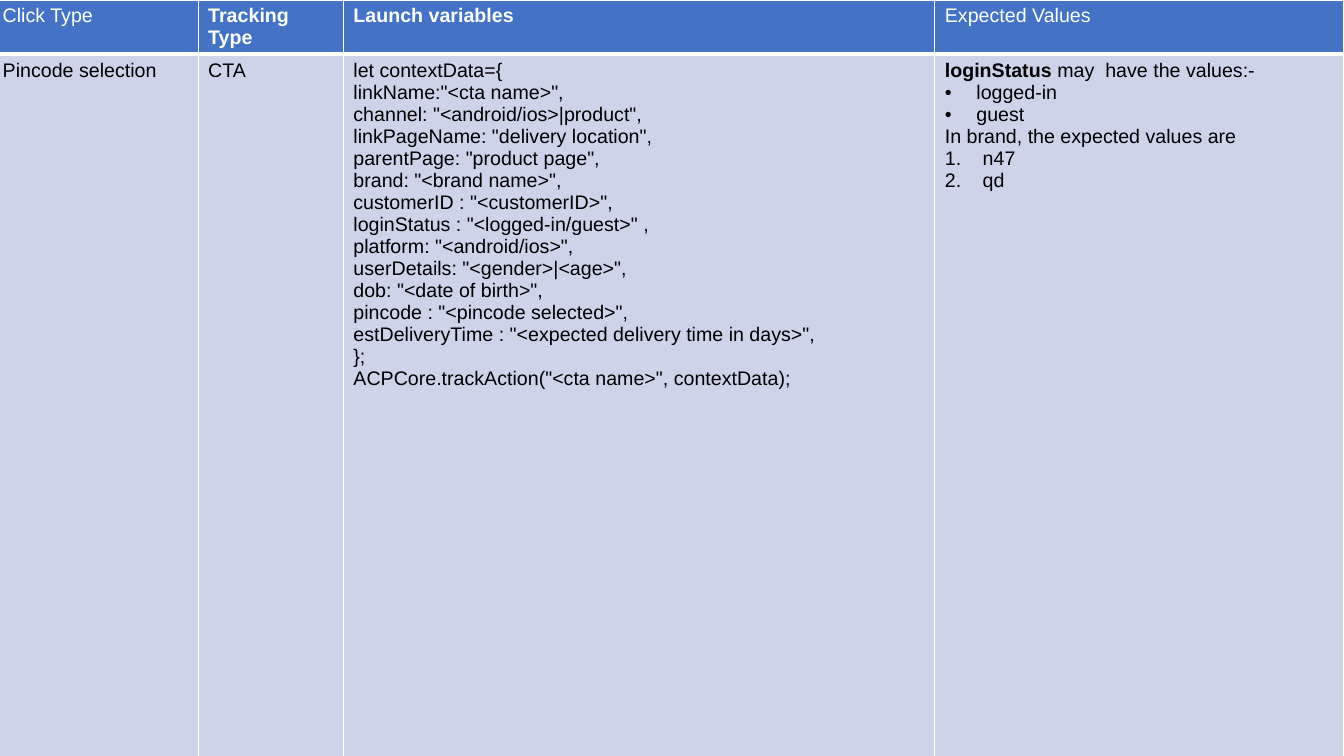
from dataclasses import dataclass

from lxml.etree import SubElement
from pptx import Presentation
from pptx.dml.color import RGBColor
from pptx.oxml.ns import qn
from pptx.util import Pt

HUES = {"head": "4472C4", "body": "CDD4EA", "light": "FFFFFF", "dark": "000000"}
WIDTHS = (146.75, 103.75, 422.5, 292.25)
HEIGHTS = (38.5, 501.5)


@dataclass
class Line:
    text: str
    lead: str = ""  # bold words ahead of the text
    mark: str = ""  # "dot" or "num"


@dataclass
class Head:
    text: str
    bold: bool


HEADS = [
    Head("Click Type", False),
    Head("Tracking Type", True),
    Head("Launch variables", True),
    Head("Expected Values", False),
]

CODE = [
    'let contextData={',
    'linkName:"<cta name>",',
    'channel: "<android/ios>|product",',
    'linkPageName: "delivery location",',
    'parentPage: "product page",',
    'brand: "<brand name>",',
    'customerID : "<customerID>",\nloginStatus : "<logged-in/guest>" ,\n'
    'platform: "<android/ios>",\nuserDetails: "<gender>|<age>",\n'
    'dob: "<date of birth>",',
    'pincode : "<pincode selected>",',
    'estDeliveryTime : "<expected delivery time in days>",',
    '};',
    'ACPCore.trackAction("<cta name>", contextData);',
]

BODY = [
    [Line("Pincode selection")],
    [Line("CTA")],
    [Line(row) for row in CODE],
    [
        Line("may  have the values:-", lead="loginStatus "),
        Line("logged-in", mark="dot"),
        Line("guest", mark="dot"),
        Line("In brand, the expected values are"),
        Line("n47", mark="num"),
        Line("qd", mark="num"),
    ],
]


def add_mark(para, mark: str) -> None:
    """Give a paragraph a hanging bullet or number."""
    props = para._p.get_or_add_pPr()
    indent = Pt(22.5 if mark == "dot" else 27)
    props.set("marL", str(indent))
    props.set("indent", str(-indent))
    SubElement(props, qn("a:buFont"), typeface="Arial")
    if mark == "dot":
        SubElement(props, qn("a:buChar"), char="•")
    else:
        SubElement(props, qn("a:buAutoNum"), type="arabicPeriod")


def add_run(para, text: str, bold: bool) -> None:
    """Add text, with a line break at each newline."""
    for i, part in enumerate(text.split("\n")):
        if i:
            para.add_line_break()
        run = para.add_run()
        run.text = part
        run.font.bold = bold


def add_rule(cell, side: str) -> None:
    """Draw the thick line between header and body; call before filling."""
    props = cell._tc.get_or_add_tcPr()
    rule = SubElement(props, qn(f"a:{side}"), w=str(Pt(3)))
    SubElement(SubElement(rule, qn("a:solidFill")), qn("a:srgbClr"), val=HUES["light"])


def fill_cell(cell, lines: list[Line], fill: str, ink: str, bold: bool = False) -> None:
    """Colour a cell and write its lines."""
    cell.fill.solid()
    cell.fill.fore_color.rgb = RGBColor.from_string(HUES[fill])
    frame = cell.text_frame
    for i, line in enumerate(lines):
        para = frame.add_paragraph() if i else frame.paragraphs[0]
        if line.mark:
            add_mark(para, line.mark)
        font = para.font
        font.name, font.size = "Arial", Pt(14)
        font.color.rgb = RGBColor.from_string(HUES[ink])
        if line.lead:
            add_run(para, line.lead, True)
        add_run(para, line.text, bold)


def main() -> None:
    deck = Presentation()
    deck.slide_width, deck.slide_height = Pt(960), Pt(540)
    slide = deck.slides.add_slide(deck.slide_layouts[6])

    # Table grid
    frame = slide.shapes.add_table(
        2, 4, Pt(-5.25), Pt(0), Pt(sum(WIDTHS)), Pt(sum(HEIGHTS)))
    table = frame.table
    for col, width in zip(table.columns, WIDTHS):
        col.width = Pt(width)
    for row, height in zip(table.rows, HEIGHTS):
        row.height = Pt(height)

    # Header and tracking row
    for i, (head, lines) in enumerate(zip(HEADS, BODY)):
        top, low = table.cell(0, i), table.cell(1, i)
        add_rule(top, "lnB")
        add_rule(low, "lnT")
        fill_cell(top, [Line(head.text)], "head", "light", head.bold)
        fill_cell(low, lines, "body", "dark")

    deck.save("out.pptx")


if __name__ == "__main__":
    main()
